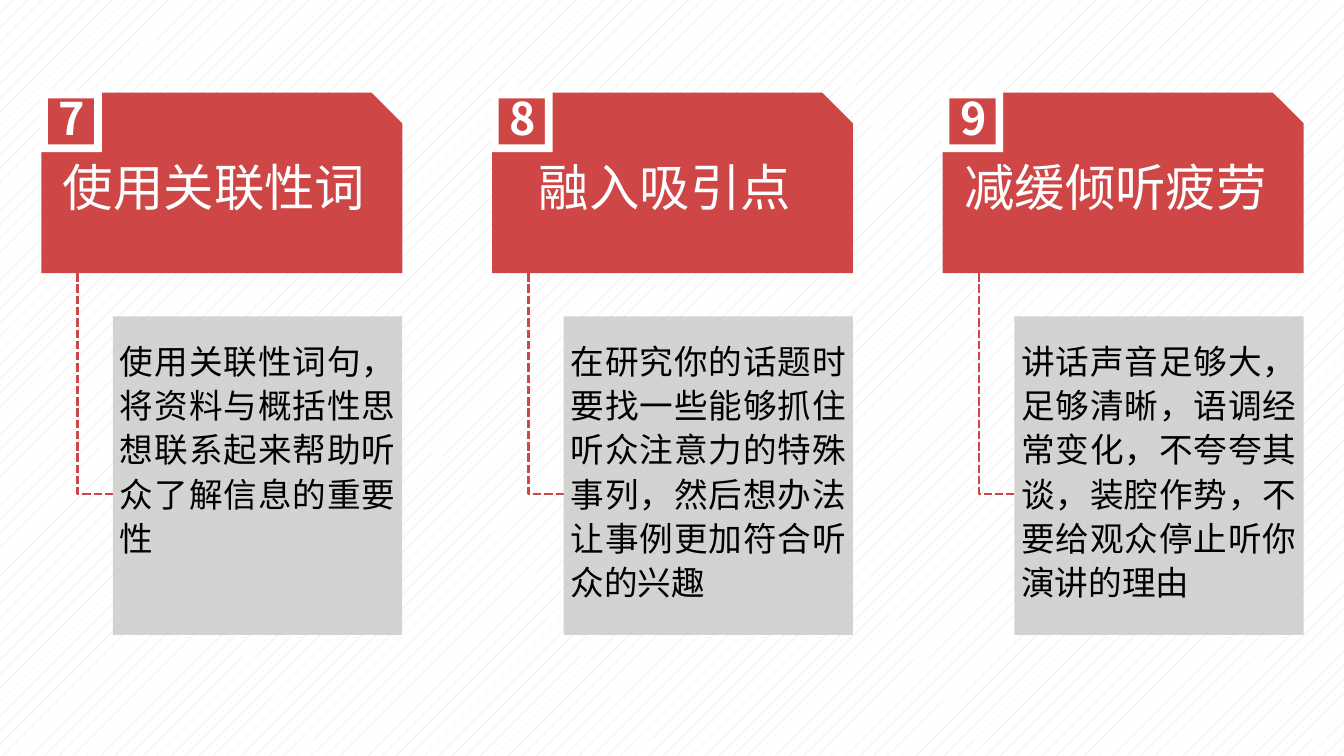
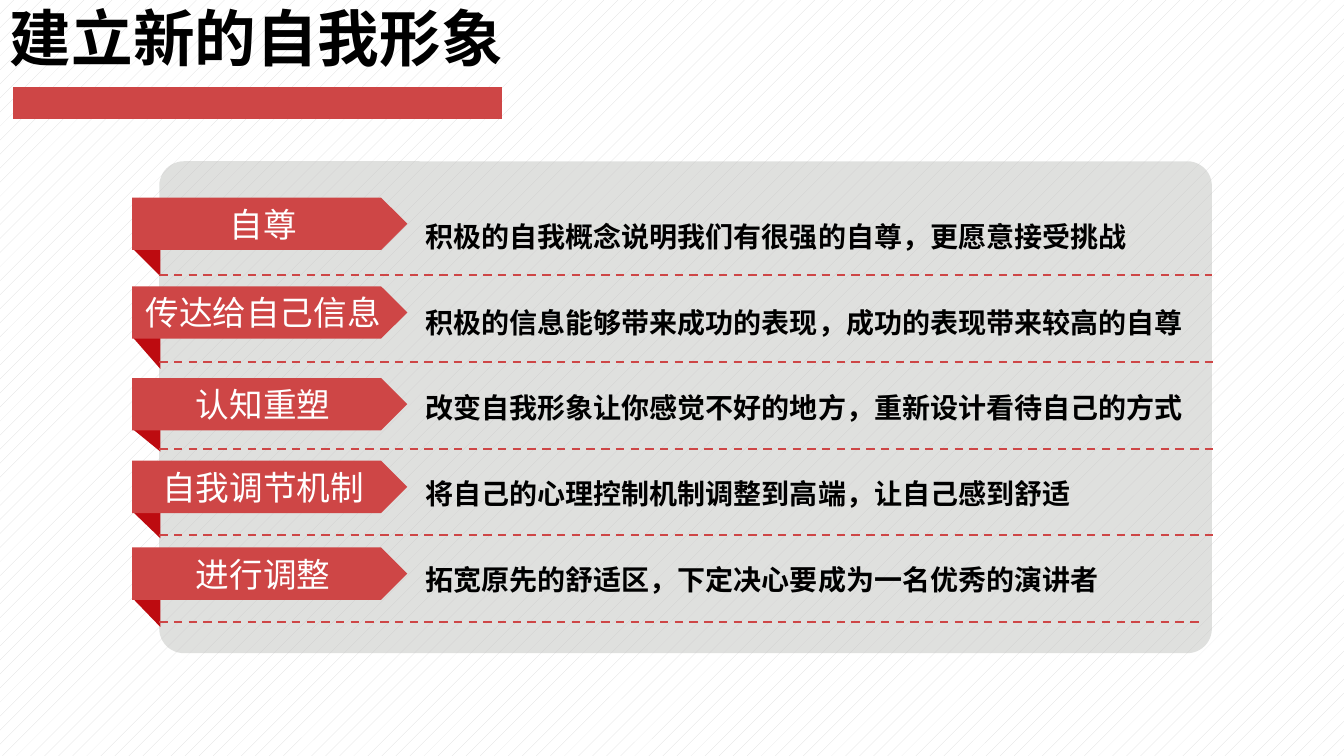
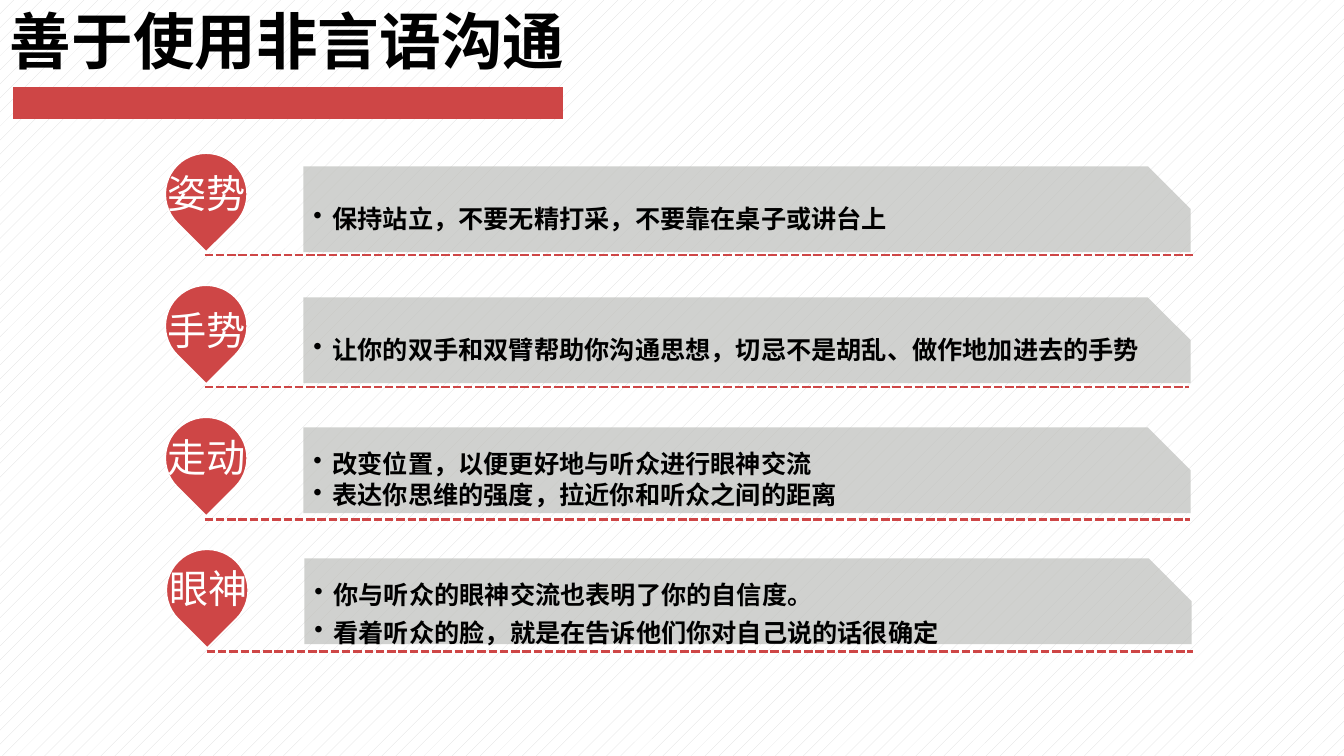
from dataclasses import dataclass

from lxml import etree
from pptx import Presentation
from pptx.dml.color import RGBColor
from pptx.enum.dml import MSO_LINE, MSO_PATTERN
from pptx.enum.shapes import MSO_CONNECTOR, MSO_SHAPE
from pptx.enum.text import MSO_ANCHOR, PP_ALIGN
from pptx.oxml.ns import qn
from pptx.util import Pt

PX = 9144  # EMU in one px, 100 px to the inch
LEFT, MID, JUST = PP_ALIGN.LEFT, PP_ALIGN.CENTER, PP_ALIGN.JUSTIFY
TOP, HALF = MSO_ANCHOR.TOP, MSO_ANCHOR.MIDDLE
DASH, DOTS = MSO_LINE.DASH, MSO_LINE.SQUARE_DOT
HATCH, PLAIN = MSO_PATTERN.PERCENT_5, MSO_CONNECTOR.STRAIGHT
RECT, SNIP, FRAME = MSO_SHAPE.RECTANGLE, MSO_SHAPE.SNIP_1_RECTANGLE, MSO_SHAPE.FRAME
ROUND, ARROW = MSO_SHAPE.ROUNDED_RECTANGLE, MSO_SHAPE.PENTAGON
FOLD, DROP = MSO_SHAPE.RIGHT_TRIANGLE, MSO_SHAPE.TEAR


@dataclass(frozen=True)
class Theme:
    font: str = "Noto Sans CJK SC"
    red: str = "CE4646"
    dark: str = "BD0B10"
    gray: str = "C1C2BF"
    white: str = "FFFFFF"
    black: str = "000000"
    hatch: str = "DBDBDB"
    title: int = 44
    head: int = 36
    digit: int = 32
    label: int = 28
    body: int = 24
    note: int = 20
    point: int = 18


T = Theme()


def rgb(code):
    return RGBColor.from_string(code)


def put(item, **vals):
    for name, val in vals.items():
        setattr(item, name, val)


class Deck:
    def __init__(self):
        self.prs = Presentation()
        put(self.prs, slide_width=1333 * PX, slide_height=750 * PX)

    def page(self, title=None, wide=0, high=0):
        """Start a slide, with a title and its red bar if given."""
        self.slide = self.prs.slides.add_slide(self.prs.slide_layouts[6])
        self.shapes = self.slide.shapes
        fill = self.slide.background.fill
        fill.patterned()
        fill.pattern = HATCH
        fill.fore_color.rgb = rgb(T.hatch)
        fill.back_color.rgb = rgb(T.white)
        if title:
            self.text((0, 0, wide, high), title, T.title, T.black,
                      bold=True, anchor=HALF, space=0.9)
            self.line(13, wide - 19, 102, 23)

    def stroke(self, line, color, width, dash=None):
        line.color.rgb = rgb(color)
        put(line, width=Pt(width), dash_style=dash)

    def shape(self, kind, box, color, alpha=100, adj=None, turn=0):
        item = self.shapes.add_shape(kind, *(n * PX for n in box))
        item.shadow.inherit = False
        item.rotation = turn
        if adj is not None:
            item.adjustments[0] = adj
        item.fill.solid()
        item.fill.fore_color.rgb = rgb(color)
        if alpha < 100:
            tint = item._element.spPr.find(".//" + qn("a:srgbClr"))
            etree.SubElement(tint, qn("a:alpha"), val=str(alpha * 1000))
        item.line.fill.background()
        return item

    def line(self, x1, x2, y, width, dash=None):
        item = self.shapes.add_connector(PLAIN, x1 * PX, y * PX, x2 * PX, y * PX)
        self.stroke(item.line, T.red, width, dash)
        etree.SubElement(item._element.spPr, qn("a:effectLst"))

    def elbow(self, x, y, wide, high):
        """Dashed path going down, then right."""
        pen = self.shapes.build_freeform(x, y, scale=PX)
        pen.add_line_segments([(x, y + high), (x + wide, y + high)], close=False)
        item = pen.convert_to_shape()
        item.shadow.inherit = False
        item.fill.background()
        self.stroke(item.line, T.red, 2, DOTS)

    def text(self, box, words, size, color, **style):
        item = self.shapes.add_textbox(*(n * PX for n in box))
        self.label(item, words, size, color, **style)

    def label(self, item, words, size, color, bold=False, align=LEFT, anchor=TOP,
              space=1.0, pads=(10, 5, 10, 5), dots=False):
        """Put styled paragraphs into a shape, one for each line."""
        frame = item.text_frame
        put(frame, word_wrap=True, vertical_anchor=anchor)
        sides = ("left", "top", "right", "bottom")
        put(frame, **{"margin_" + s: n * PX for s, n in zip(sides, pads)})
        for i, line in enumerate(words.split("\n")):
            para = frame.add_paragraph() if i else frame.paragraphs[0]
            put(para, alignment=align, line_spacing=space)
            if dots:
                para.space_after = Pt(3)
                props = para._p.get_or_add_pPr()
                props.set("marL", str(19 * PX))
                props.set("indent", str(-19 * PX))
                etree.SubElement(props, qn("a:buChar"), char="•")
            run = para.add_run()
            run.text = line
            put(run.font, name=T.font, size=Pt(size), bold=bold)
            run.font.color.rgb = rgb(color)
            etree.SubElement(run.font._element, qn("a:ea"), typeface=T.font)


def tips(deck):
    """Three numbered cards."""
    cards = [
        ("使用关联性词", "使用关联性词句，将资料与概括性思想联系起来帮助听众了解信息的重要性"),
        ("融入吸引点", "在研究你的话题时要找一些能够抓住听众注意力的特殊事列，"
                  "然后想办法让事例更加符合听众的兴趣"),
        ("减缓倾听疲劳", "讲话声音足够大，足够清晰，语调经常变化，不夸夸其谈，"
                   "装腔作势，不要给观众停止听你演讲的理由"),
    ]
    deck.page()
    for i, (head, body) in enumerate(cards):
        x = 41 + 447 * i
        card = deck.shape(SNIP, (x, 92, 358, 179), T.red, adj=0.17)
        deck.label(card, head, T.head, T.white, align=MID, anchor=HALF,
                   space=0.9, pads=(7, 5, 7, 5))
        deck.elbow(x + 36, 271, 35, 219)
        note = deck.shape(RECT, (x + 71, 314, 287, 316), T.gray, alpha=70)
        deck.label(note, body, T.body, T.black, align=JUST, space=1.1,
                   pads=(7, 20, 7, 4))
        deck.shape(FRAME, (x - 1, 90, 61, 61), T.white)
        deck.text((x, 86, 61, 61), str(7 + i), T.digit, T.white, bold=True,
                  align=MID, anchor=HALF, pads=(0, 0, 0, 0))


def image(deck):
    """Five ribbons on a panel."""
    # label, text, ribbon top, fold height, end of rule
    rows = [
        ("自尊", "积极的自我概念说明我们有很强的自尊，更愿意接受挑战", 196, 27, 1202),
        ("传达给自己信息", "积极的信息能够带来成功的表现，成功的表现带来较高的自尊", 284, 31, 1207),
        ("认知重塑", "改变自我形象让你感觉不好的地方，重新设计看待自己的方式", 375, 22, 1203),
        ("自我调节机制", "将自己的心理控制机制调整到高端，让自己感到舒适", 457, 26, 1206),
        ("进行调整", "拓宽原先的舒适区，下定决心要成为一名优秀的演讲者", 543, 28, 1195),
    ]
    deck.page("建立新的自我形象", 517, 83)
    deck.shape(ROUND, (158, 160, 1044, 488), T.gray, alpha=50, adj=0.05)
    for i, (name, words, top, drop, end) in enumerate(rows):
        deck.shape(FOLD, (132, top + 51, 27, drop), T.dark, turn=180)
        tag = deck.shape(ARROW, (131, top, 273, 52), T.red)
        deck.label(tag, name, T.body, T.white, align=MID, anchor=HALF)
        deck.text((412, 213 + 85 * i, 800, 44), words, T.note, T.black, bold=True)
        deck.line(158, end, 273 + 86 * i, 1.5, DASH)


def signs(deck):
    """Four pins with snipped bars."""
    # label, bullets, shift, bar top, label top, end of rule, line spacing
    rows = [
        ("姿势", "保持站立，不要无精打采，不要靠在桌子或讲台上", 0, 165, 163, 1183, 0.9),
        ("手势", "让你的双手和双臂帮助你沟通思想，切忌不是胡乱、做作地加进去的手势",
         0, 295, 299, 1179, 0.9),
        ("走动", "改变位置，以便更好地与听众进行眼神交流\n表达你思维的强度，拉近你和听众之间的距离",
         0, 424, 425, 1180, 0.9),
        ("眼神", "你与听众的眼神交流也表明了你的自信度。\n看着听众的脸，就是在告诉他们你对自己说的话很确定",
         1, 554, 555, 1183, 1.1),
    ]
    deck.page("善于使用非言语沟通", 577, 89)
    for i, (name, words, dx, top, high, end, space) in enumerate(rows):
        y = 152 + 131 * i
        deck.line(203 + 2 * dx, end, y + 101, 2, DOTS)
        pin = deck.shape(DROP, (164 + dx, y, 81, 81), T.red, adj=1, turn=135)
        deck.stroke(pin.line, T.white, 1)
        deck.text((156 + 2 * dx, high, 119, 57), name, T.label, T.white)
        bar = deck.shape(SNIP, (301 + dx, top, 880, 85), T.gray, alpha=75, adj=0.5)
        deck.label(bar, words, T.point, T.black, bold=True, anchor=HALF,
                   space=space, dots=True)


def main():
    deck = Deck()
    for build in (tips, image, signs):
        build(deck)
    deck.prs.save("out.pptx")


if __name__ == "__main__":
    main()
